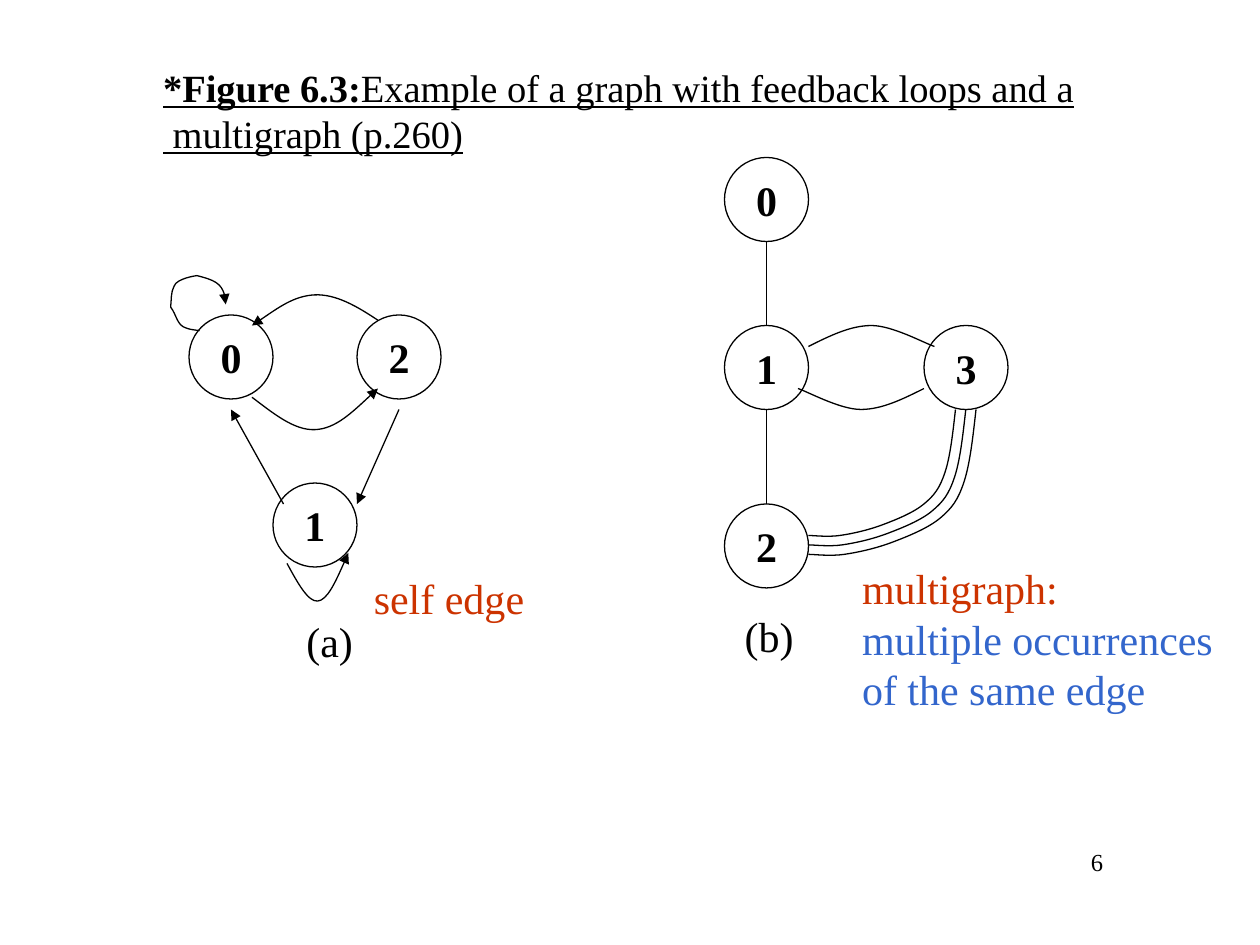
from dataclasses import dataclass

from lxml import etree
from pptx import Presentation
from pptx.dml.color import RGBColor
from pptx.enum import shapes, text
from pptx.oxml import ns
from pptx.util import Pt

HUES = {"ink": "000000", "red": "CC3300", "blue": "3366CC"}
FONT = "Times New Roman"
SIDE = 48  # node diameter
LEFT, RIGHT = text.PP_ALIGN.LEFT, text.PP_ALIGN.RIGHT
TOP, MIDDLE = text.MSO_ANCHOR.TOP, text.MSO_ANCHOR.MIDDLE

Point = tuple[float, float]


@dataclass
class Node:
    name: str
    x: float
    y: float


@dataclass
class Edge:
    start: Point
    end: Point
    arrow: bool = False


@dataclass
class Curve:
    points: list[Point]  # start, then two controls and an end per piece
    arrow: bool = False


@dataclass
class Label:
    lines: list[tuple[str, str]]  # wording and colour name
    box: tuple[float, float, float, float]
    size: float = 24
    align: text.PP_ALIGN = LEFT
    anchor: text.MSO_ANCHOR = TOP


def hue(name: str) -> RGBColor:
    return RGBColor.from_string(HUES[name])


def style(para, size: float, color: str = "ink", bold: bool = False) -> None:
    font = para.font
    font.name, font.size, font.bold = FONT, Pt(size), bold
    font.color.rgb = hue(color)


def stroke(item, arrow: bool) -> None:
    item.line.color.rgb = hue("ink")
    item.line.width = Pt(0.75)
    if arrow:
        ln = item._element.spPr.find(ns.qn("a:ln"))
        etree.SubElement(ln, ns.qn("a:tailEnd"), type="triangle")


def draw_node(slide, node: Node) -> None:
    oval = slide.shapes.add_shape(
        shapes.MSO_SHAPE.OVAL, Pt(node.x), Pt(node.y), Pt(SIDE), Pt(SIDE))
    oval.shadow.inherit = False
    oval.fill.background()
    stroke(oval, False)
    frame = oval.text_frame
    frame.word_wrap = False
    frame.vertical_anchor = MIDDLE
    para = frame.paragraphs[0]
    para.text = node.name
    para.alignment = text.PP_ALIGN.CENTER
    style(para, 24, bold=True)


def draw_edge(slide, edge: Edge) -> None:
    ends = [Pt(v) for v in edge.start + edge.end]
    line = slide.shapes.add_connector(shapes.MSO_CONNECTOR.STRAIGHT, *ends)
    stroke(line, edge.arrow)
    etree.SubElement(line._element.spPr, ns.qn("a:effectLst"))


def draw_curve(slide, curve: Curve) -> None:
    first, *rest = [(Pt(x), Pt(y)) for x, y in curve.points]
    pen = slide.shapes.build_freeform(*first)
    pen.add_line_segments(rest, close=False)
    shape = pen.convert_to_shape()
    shape.shadow.inherit = False
    shape.fill.background()
    stroke(shape, curve.arrow)
    # Join each three straight steps into one cubic piece
    route = next(shape._element.iter(ns.qn("a:path")))
    steps = route.findall(ns.qn("a:lnTo"))
    for i in range(0, len(steps), 3):
        piece = etree.SubElement(route, ns.qn("a:cubicBezTo"))
        for step in steps[i:i + 3]:
            piece.append(step[0])
            route.remove(step)


def draw_label(slide, label: Label) -> None:
    box = slide.shapes.add_textbox(*[Pt(v) for v in label.box])
    frame = box.text_frame
    frame.word_wrap = True
    frame.vertical_anchor = label.anchor
    for i, (words, color) in enumerate(label.lines):
        para = frame.add_paragraph() if i else frame.paragraphs[0]
        para.text = words
        para.alignment = label.align
        style(para, label.size, color)


def draw_title(slide) -> None:
    title = slide.shapes.title
    title.left, title.top = Pt(86), Pt(33)
    title.width, title.height = Pt(545), Pt(60.5)
    frame = title.text_frame
    frame.auto_size = text.MSO_AUTO_SIZE.NONE
    frame.word_wrap = True
    frame.vertical_anchor = TOP
    head, tail = frame.paragraphs[0], frame.add_paragraph()
    lead = head.add_run()
    lead.text = "*Figure 6.3:"
    lead.font.bold = True
    head.add_run().text = "Example of a graph with feedback loops and a"
    tail.add_run().text = " multigraph (p.260)"
    for para in (head, tail):
        para.alignment = LEFT
        style(para, 22)
        para.font.underline = True


def stretch(points: list[Point], fx: float, fy: float) -> list[Point]:
    """Scale a curve away from the corner where nodes 2 and 3 line up."""
    return [(462 + (x - 462) * fx, 234 + (y - 234) * fy) for x, y in points]


NODES = [
    # (a) feedback loops
    Node("0", 108, 180), Node("2", 204, 180), Node("1", 156, 276),
    # (b) multigraph
    Node("0", 414, 90), Node("1", 414, 186), Node("2", 414, 288),
    Node("3", 528, 186),
]

EDGES = [
    Edge((162, 288), (132, 234), True),
    Edge((228, 234), (204, 288), True),
    Edge((438, 138), (438, 186)),
    Edge((438, 234), (438, 288)),
]

INNER = [(546, 234), (544.5, 247.5), (543, 261), (540, 270), (537, 279),
         (534, 283), (528, 288), (522, 293), (512, 297), (504, 300),
         (496, 303), (487, 305), (480, 306), (473, 307), (465, 306),
         (462, 306)]

CURVES = [
    # Self edges of 0 and 1
    Curve([(114, 189), (111.5, 188.5), (109, 188.5), (106.5, 187.5),
           (101, 186), (101, 180), (97.5, 175.5), (98, 171.5), (97.5, 167),
           (99.5, 163.5), (101, 159), (112.5, 157.5), (112.5, 157.5),
           (122.5, 160), (129, 163), (129, 174)], True),
    Curve([(164, 322), (170, 333), (176, 344), (181.5, 343.5),
           (187, 343), (193, 330), (199, 316)], True),
    # Between 0 and 2
    Curve([(216, 183), (204, 175), (192, 168), (180, 168.5),
           (168, 169), (156, 178), (144, 186)], True),
    Curve([(144, 227), (156, 236), (168, 246), (180, 245.5),
           (192, 245), (204, 233), (216, 222)], True),
    # Between 1 and 3
    Curve([(462, 198), (474, 192), (486, 186), (498, 186),
           (510, 186), (528, 196), (534, 198)]),
    Curve([(528, 222), (516, 228), (504, 234), (492, 234),
           (480, 234), (462, 224), (456, 222)]),
    # Three edges between 3 and 2
    *[Curve(stretch(INNER, 1 + k * 0.07, 1 + k * 0.075)) for k in range(3)],
]

LABELS = [
    Label([("(a)", "ink")], (168, 348, 48, 36)),
    Label([("(b)", "ink")], (418.5, 345.5, 50, 36)),
    Label([("self edge", "red")], (206.5, 323.5, 110, 36), anchor=MIDDLE),
    Label([("multigraph:", "red"), ("multiple occurrences", "blue"),
           ("of the same edge", "blue")], (485.5, 318, 226, 93.5),
          anchor=MIDDLE),
    Label([("6", "ink")], (487.5, 480.5, 150, 36), 14, RIGHT),
]


def main() -> None:
    deck = Presentation()
    deck.slide_width, deck.slide_height = Pt(720), Pt(540)
    slide = deck.slides.add_slide(deck.slide_layouts[5])
    draw_title(slide)
    for draw, items in ((draw_node, NODES), (draw_edge, EDGES),
                        (draw_curve, CURVES), (draw_label, LABELS)):
        for item in items:
            draw(slide, item)
    deck.save("out.pptx")


if __name__ == "__main__":
    main()
